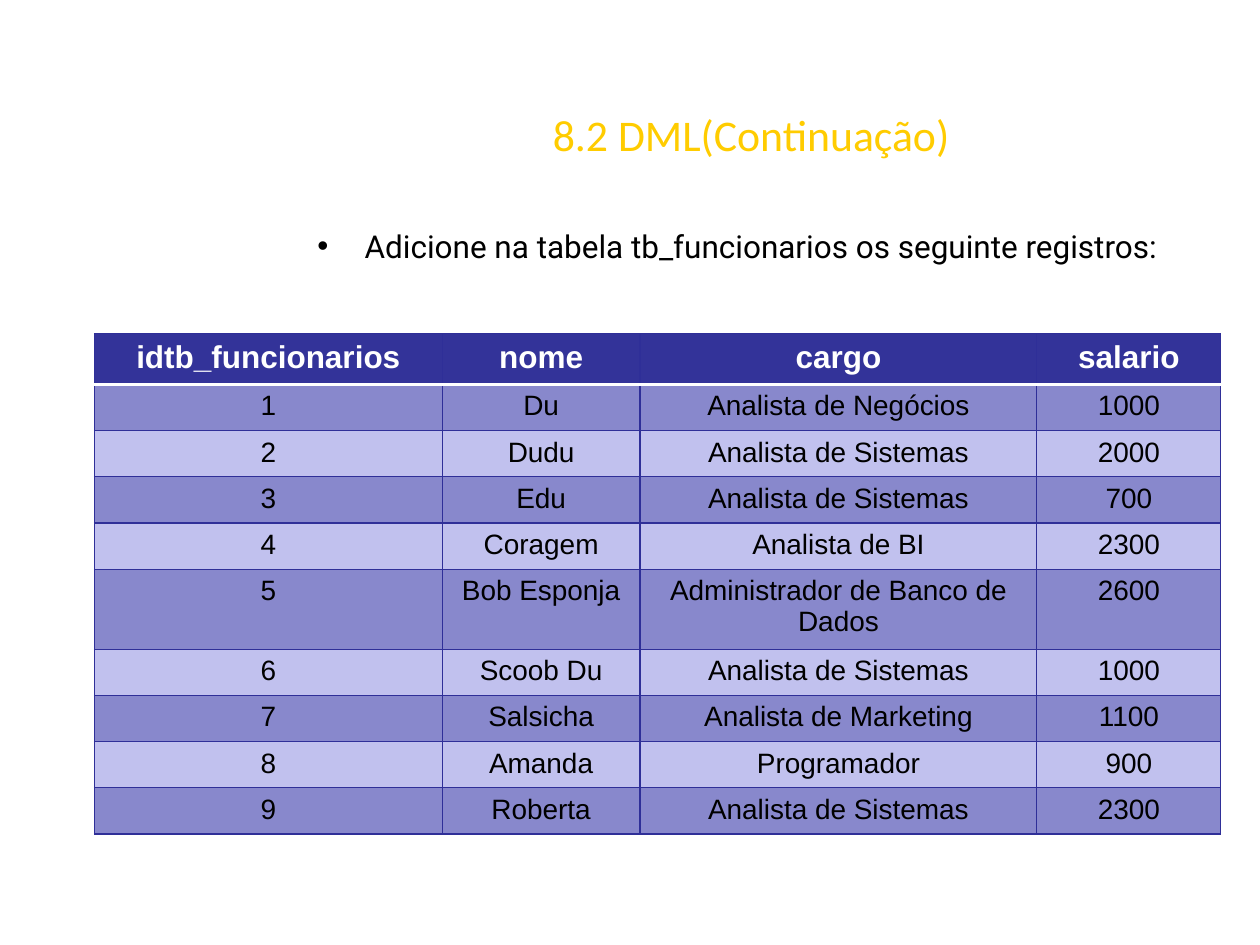
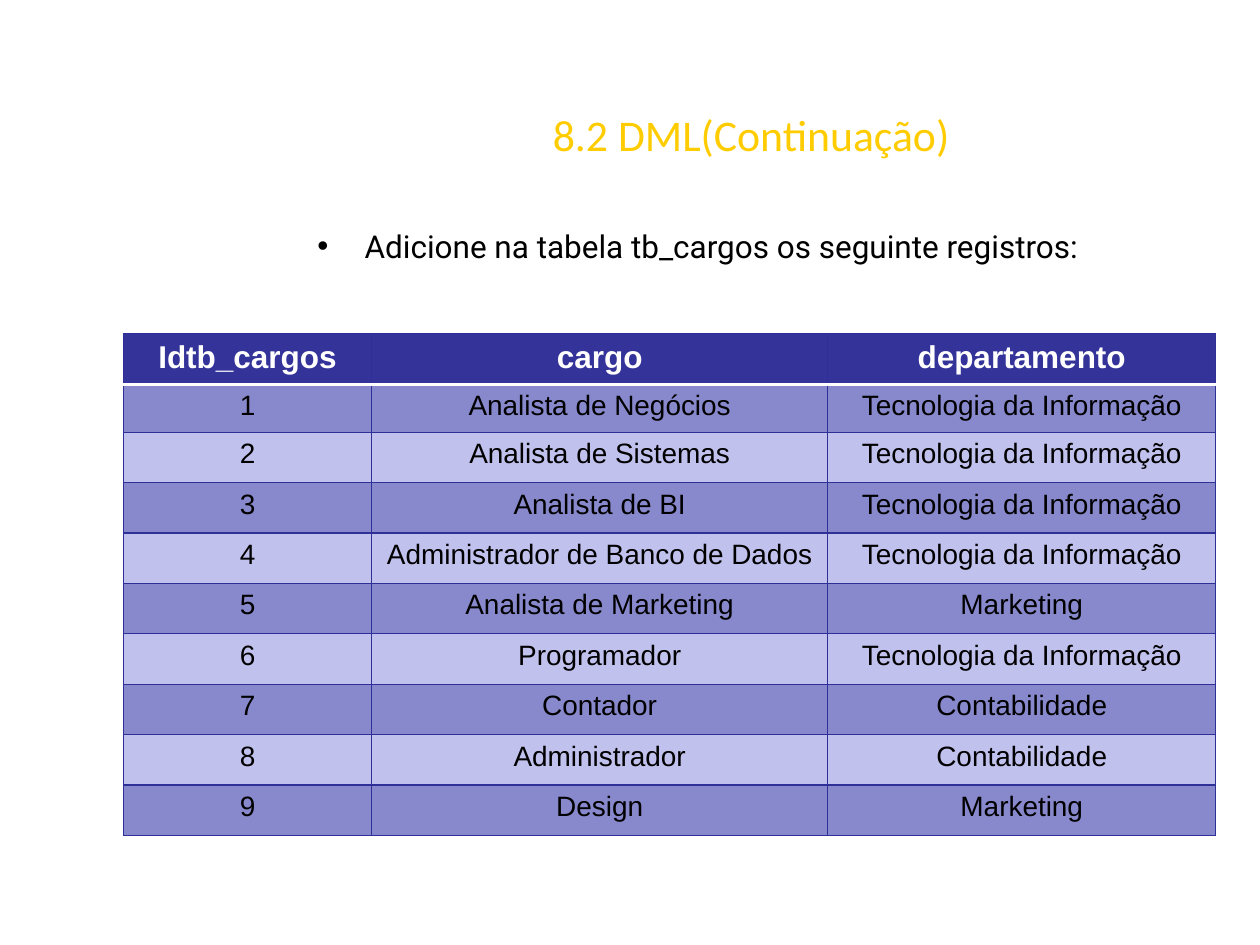
import dataclasses

import lxml.etree
import pptx
import pptx.dml.color
import pptx.enum.text
import pptx.oxml
import pptx.oxml.ns
import pptx.util

ALIGN = pptx.enum.text.PP_ALIGN
ANCHOR = pptx.enum.text.MSO_ANCHOR


@dataclasses.dataclass(frozen=True)
class Theme:
    """Colours, fonts and type sizes shared by the slides."""

    title: dict
    instruction: dict
    header: dict
    record: dict
    header_fill: str = "333399"
    bands: tuple = ("8888CC", "C1C1EE")
    rule: tuple = ("2F2F98", 0.75)
    header_rule: tuple = ("FFFFFF", 2)


THEME = Theme(
    title={"name": "Calibri", "size": 25, "color": "FFCC00", "bold": False},
    instruction={"name": "Roboto", "size": 18, "color": "000000", "bold": False},
    header={"name": "Arial", "size": 18, "color": "FFFFFF", "bold": True},
    record={"name": "Arial", "size": 16, "color": "000000", "bold": False},
)


def child(parent, tag, **attributes):
    """Add a drawing element with the given attributes."""
    return lxml.etree.SubElement(parent, pptx.oxml.ns.qn(f"a:{tag}"), **attributes)


class Deck:
    """Draws styled elements on a grid of 20 columns by 15 rows."""

    COLUMNS, ROWS = 20, 15

    def __init__(self, theme):
        """Start an empty 10 by 7.5 inch presentation."""
        self.theme = theme
        self.presentation = pptx.Presentation()
        self.presentation.slide_width = pptx.util.Inches(10)
        self.presentation.slide_height = pptx.util.Inches(7.5)
        self.slide = None

    def add_slide(self):
        """Make a new blank slide the current one."""
        self.slide = self.presentation.slides.add_slide(self.presentation.slide_layouts[6])

    def across(self, columns):
        """Turn grid columns into a length."""
        return round(self.presentation.slide_width * columns / self.COLUMNS)

    def down(self, rows):
        """Turn grid rows into a length."""
        return round(self.presentation.slide_height * rows / self.ROWS)

    def styled_run(self, paragraph, wording, style):
        """Add one run and apply the format values of its style."""
        run = paragraph.add_run()
        run.text = wording
        values = dict(style)
        run.font.color.rgb = pptx.dml.color.RGBColor.from_string(values.pop("color"))
        values["size"] = pptx.util.Pt(values["size"])
        for attribute, value in values.items():
            setattr(run.font, attribute, value)
        return run

    def text_frame(self, top, height, anchor):
        """Add a wrapping text box in the right-hand text area."""
        frame = self.slide.shapes.add_textbox(
            self.across(4.84), self.down(top), self.across(14.16), self.down(height)
        ).text_frame
        for attribute, value in {"word_wrap": True, "vertical_anchor": anchor}.items():
            setattr(frame, attribute, value)
        return frame

    def title(self, wording):
        """Add the centred heading with its text shadow."""
        paragraph = self.text_frame(1.16, 1.94, ANCHOR.MIDDLE).paragraphs[0]
        paragraph.alignment = ALIGN.CENTER
        run = self.styled_run(paragraph, wording, self.theme.title)
        effects = pptx.oxml.parse_xml(
            f'<a:effectLst {pptx.oxml.ns.nsdecls("a")}>'
            '<a:outerShdw dist="38100" dir="2700000" algn="tl">'
            '<a:srgbClr val="000000"/></a:outerShdw></a:effectLst>'
        )
        properties = run._r.get_or_add_rPr()
        properties.find(pptx.oxml.ns.qn("a:solidFill")).addnext(effects)

    def instruction(self, wording):
        """Add the bulleted instruction."""
        paragraph = self.text_frame(3.5, 9.9, ANCHOR.TOP).paragraphs[0]
        properties = paragraph._p.get_or_add_pPr()
        indent = self.across(0.75)
        for attribute, value in {"marL": indent, "indent": -indent}.items():
            properties.set(attribute, str(value))
        child(properties, "buFont", typeface="Arial")
        child(properties, "buChar", char="•")
        self.styled_run(paragraph, wording, self.theme.instruction)

    def border(self, cell, side, rule):
        """Draw one side of a cell."""
        color, width = rule
        line = child(cell._tc.get_or_add_tcPr(), f"ln{side}", w=str(pptx.util.Pt(width)))
        child(child(line, "solidFill"), "srgbClr", val=color)

    def cell(self, cell, wording, row):
        """Style a cell by its row and fill in its wording."""
        theme = self.theme
        rules = {side: theme.rule for side in "LRTB"}
        if row < 2:
            rules["TB"[row == 0]] = theme.header_rule
        for side, rule in rules.items():
            self.border(cell, side, rule)
        fill = theme.bands[(row - 1) % 2] if row else theme.header_fill
        cell.fill.solid()
        cell.fill.fore_color.rgb = pptx.dml.color.RGBColor.from_string(fill)
        paragraph = cell.text_frame.paragraphs[0]
        paragraph.alignment = ALIGN.CENTER
        self.styled_run(paragraph, wording, theme.record if row else theme.header)

    def records(self, left, widths, heights, rows):
        """Add the table of records below the instruction."""
        table = self.slide.shapes.add_table(
            len(rows), len(widths), self.across(left), self.down(5.3),
            self.across(sum(widths)), self.down(sum(heights)),
        ).table
        for column, width in zip(table.columns, widths):
            column.width = self.across(width)
        for index, (height, values) in enumerate(zip(heights, rows)):
            table.rows[index].height = self.down(height)
            for position, wording in enumerate(values):
                self.cell(table.cell(index, position), wording, index)


def numbered(header, entries):
    """Put the header above the entries, each led by its number."""
    return [header] + [(str(number), *entry) for number, entry in enumerate(entries, 1)]


EMPLOYEES = numbered(
    ("idtb_funcionarios", "nome", "cargo", "salario"),
    [
        ("Du", "Analista de Negócios", "1000"),
        ("Dudu", "Analista de Sistemas", "2000"),
        ("Edu", "Analista de Sistemas", "700"),
        ("Coragem", "Analista de BI", "2300"),
        ("Bob Esponja", "Administrador de Banco de Dados", "2600"),
        ("Scoob Du", "Analista de Sistemas", "1000"),
        ("Salsicha", "Analista de Marketing", "1100"),
        ("Amanda", "Programador", "900"),
        ("Roberta", "Analista de Sistemas", "2300"),
    ],
)
POSITIONS = numbered(
    ("Idtb_cargos", "cargo", "departamento"),
    [
        ("Analista de Negócios", "Tecnologia da Informação"),
        ("Analista de Sistemas", "Tecnologia da Informação"),
        ("Analista de BI", "Tecnologia da Informação"),
        ("Administrador de Banco de Dados", "Tecnologia da Informação"),
        ("Analista de Marketing", "Marketing"),
        ("Programador", "Tecnologia da Informação"),
        ("Contador", "Contabilidade"),
        ("Administrador", "Contabilidade"),
        ("Design", "Marketing"),
    ],
)
EXERCISES = [
    ("tb_funcionarios", 1.5, (5.52, 3.14, 6.3, 2.92), [0.54] * 10, EMPLOYEES),
    ("tb_cargos", 1.96, (3.94, 7.24, 6.16), [0.8, 0.76] + [0.8] * 8, POSITIONS),
]


def main():
    """Build one slide for each exercise."""
    deck = Deck(THEME)
    for target, left, widths, heights, rows in EXERCISES:
        deck.add_slide()
        deck.title("8.2 DML(Continuação)")
        deck.instruction(f"Adicione na tabela {target} os seguinte registros:")
        deck.records(left, widths, heights, rows)
    deck.presentation.save("out.pptx")


if __name__ == "__main__":
    main()
